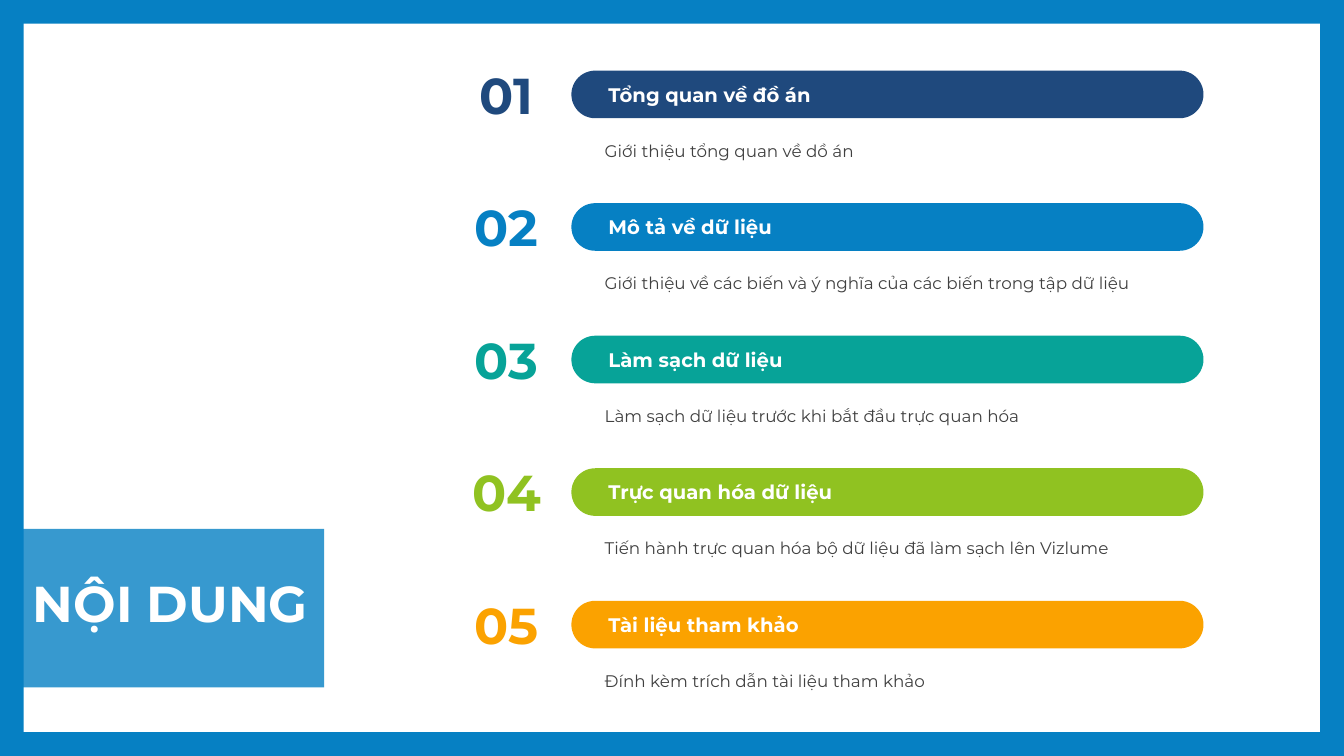
"""Build an agenda slide with five numbered, colour-coded sections."""
from dataclasses import dataclass

from lxml import etree
from pptx import Presentation
from pptx.dml.color import RGBColor
from pptx.enum import shapes, text
from pptx.oxml import ns
from pptx.util import Cm, Pt


@dataclass(frozen=True)
class Theme:
    """Hold the colours, font and type sizes."""
    font: str = "Montserrat"
    blue: str = "0680C3"
    white: str = "FFFFFF"
    grey: str = "404040"
    sections: tuple = ("1F497D", "0680C3", "07A398", "90C221", "FBA200")
    display: int = 36
    heading: int = 14
    body: int = 12


THEME = Theme()
WIDTH, HEIGHT, BORDER = 33.87, 19.05, 0.6
FIRST_TOP, SECTION_PITCH = 1.78, 3.34
SECTIONS = (
    ("Tổng quan về đồ án", "Giới thiệu tổng quan về dồ án"),
    ("Mô tả về dữ liệu", "Giới thiệu về các biến và ý nghĩa của các biến trong tập dữ liệu"),
    ("Làm sạch dữ liệu", "Làm sạch dữ liệu trước khi bắt đầu trực quan hóa"),
    ("Trực quan hóa dữ liệu", "Tiến hành trực quan hóa bộ dữ liệu đã làm sạch lên Vizlume"),
    ("Tài liệu tham khảo", "Đính kèm trích dẫn tài liệu tham khảo"),
)


def add_block(parent, kind, box, colour):
    """Add a filled preset shape without line or shadow."""
    block = parent.add_shape(kind, *map(Cm, box))
    block.fill.solid()
    block.fill.fore_color.rgb = RGBColor.from_string(colour)
    block.line.fill.background()
    block.shadow.inherit = False
    return block


def write(holder, words, size, colour, bold=False, align=text.PP_ALIGN.LEFT, inset=0.25):
    """Write one vertically centred run into a shape and return its paragraph."""
    frame = holder.text_frame
    frame.word_wrap = True
    frame.vertical_anchor = text.MSO_ANCHOR.MIDDLE
    frame.margin_left = Cm(inset)
    paragraph = frame.paragraphs[0]
    paragraph.alignment = align
    run = paragraph.add_run()
    run.text = words
    run.font.name = THEME.font
    run.font.size = Pt(size)
    run.font.bold = bold
    run.font.color.rgb = RGBColor.from_string(colour)
    return paragraph


def add_label(parent, box, *args, **style):
    """Add a text box holding one styled run."""
    return write(parent.add_textbox(*map(Cm, box)), *args, **style)


def add_border(slide):
    """Frame the slide with four bars."""
    for box in (
        (0, 0, BORDER, HEIGHT),
        (WIDTH - BORDER, 0, BORDER, HEIGHT),
        (0, 0, WIDTH, BORDER),
        (0, HEIGHT - BORDER, WIDTH, BORDER),
    ):
        add_block(slide.shapes, shapes.MSO_SHAPE.RECTANGLE, box, THEME.blue)


def add_title(slide, words):
    """Add the slide title on a translucent panel."""
    group = slide.shapes.add_group_shape().shapes
    panel = add_block(group, shapes.MSO_SHAPE.RECTANGLE, (0.58, 13.33, 7.59, 3.99), THEME.blue)
    tint = panel.fill._xPr.find(".//" + ns.qn("a:srgbClr"))
    etree.SubElement(tint, ns.qn("a:alpha"), val="80000")
    title = add_label(group, (0.58, 13.72, 7.59, 3.2), words, THEME.display, THEME.white, bold=True)
    title.line_spacing = 0.8


def add_section(slide, index, heading, summary):
    """Add a section's number, heading bar and summary."""
    top = FIRST_TOP + index * SECTION_PITCH
    colour = THEME.sections[index]
    group = slide.shapes.add_group_shape().shapes
    add_label(group, (11.43, top - 0.31, 2.67, 1.8), f"{index + 1:02}", THEME.display,
              colour, bold=True, align=text.PP_ALIGN.CENTER)
    add_label(group, (14.99, top + 1.63, 15.34, 0.77), summary, THEME.body, THEME.grey)
    bar = add_block(group, shapes.MSO_SHAPE.ROUNDED_RECTANGLE, (14.4, top, 15.93, 1.2), colour)
    bar.adjustments[0] = 0.5
    write(bar, heading, THEME.heading, THEME.white, bold=True, inset=0.76)


def main():
    """Assemble and save the agenda slide."""
    deck = Presentation()
    deck.slide_width, deck.slide_height = Cm(WIDTH), Cm(HEIGHT)
    slide = deck.slides.add_slide(deck.slide_layouts[6])
    add_border(slide)
    add_title(slide, "NỘI DUNG")
    for index, (heading, summary) in enumerate(SECTIONS):
        add_section(slide, index, heading, summary)
    deck.save("out.pptx")


if __name__ == "__main__":
    main()
